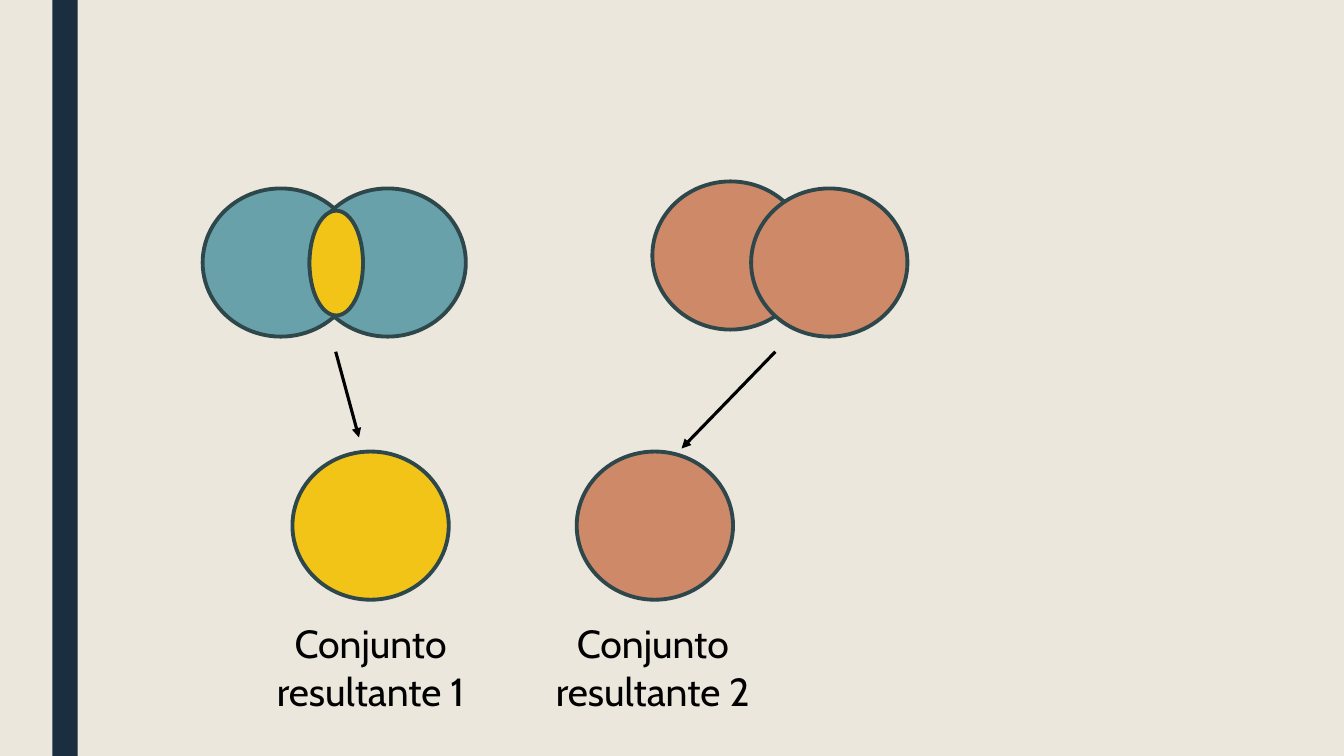
from dataclasses import dataclass

from lxml.etree import SubElement
from pptx import Presentation
from pptx.dml.color import RGBColor
from pptx.enum.shapes import MSO_CONNECTOR, MSO_SHAPE
from pptx.enum.text import MSO_AUTO_SIZE, PP_ALIGN
from pptx.oxml.ns import qn
from pptx.slide import Slide
from pptx.util import Inches, Pt

SLIDE_WIDTH, SLIDE_HEIGHT = Inches(13.33), Inches(7.5)


@dataclass(frozen=True)
class Theme:
    background: str = "EBE7DD"
    band: str = "1A2E40"
    outline: str = "2E474B"
    ink: str = "000000"
    teal: str = "69A1AB"
    yellow: str = "F2C418"
    copper: str = "CE8969"
    font: str = "Cabin"
    label_size: float = 28
    outline_width: float = 2.75
    arrow_width: float = 2.25


THEME = Theme()

# Lengths are percentages of the slide's width and height
CIRCLE_WIDTH, CIRCLE_HEIGHT = 11.63, 19.6
SOURCE_ROW, ARROW_ROW, RESULT_ROW, LABEL_ROW = 24.93, 46.53, 59.73, 81.33


@dataclass(frozen=True)
class Oval:
    left: float
    top: float
    fill: str
    width: float = CIRCLE_WIDTH
    height: float = CIRCLE_HEIGHT


@dataclass(frozen=True)
class Arrow:
    start_x: float
    end_x: float
    end_y: float


@dataclass(frozen=True)
class Label:
    left: float
    text: str


OVALS = [
    # Intersection of two sets
    Oval(15.08, SOURCE_ROW, THEME.teal),
    Oval(23.03, SOURCE_ROW, THEME.teal),
    Oval(23.03, 27.87, THEME.yellow, width=3.98, height=13.87),
    # Union of two sets
    Oval(48.54, 24, THEME.copper),
    Oval(55.89, SOURCE_ROW, THEME.copper),
    # Resulting sets
    Oval(42.91, RESULT_ROW, THEME.copper),
    Oval(21.76, RESULT_ROW, THEME.yellow),
]
ARROWS = [Arrow(24.98, 26.71, 57.87), Arrow(57.69, 50.71, 59.33)]
LABELS = [Label(17.63, "Conjunto resultante 1"), Label(38.63, "Conjunto resultante 2")]


def across(percent: float) -> int:
    return round(SLIDE_WIDTH * percent / 100)


def down(percent: float) -> int:
    return round(SLIDE_HEIGHT * percent / 100)


def color(value: str) -> RGBColor:
    return RGBColor.from_string(value)


def add_filled_shape(slide: Slide, kind: MSO_SHAPE, box: Oval, outlined: bool = True) -> None:
    shape = slide.shapes.add_shape(
        kind, across(box.left), down(box.top), across(box.width), down(box.height)
    )
    shape.shadow.inherit = False
    shape.fill.solid()
    shape.fill.fore_color.rgb = color(box.fill)
    if outlined:
        shape.line.color.rgb = color(THEME.outline)
        shape.line.width = Pt(THEME.outline_width)
    else:
        shape.line.fill.background()


def add_arrow(slide: Slide, arrow: Arrow) -> None:
    connector = slide.shapes.add_connector(
        MSO_CONNECTOR.STRAIGHT,
        across(arrow.start_x), down(ARROW_ROW), across(arrow.end_x), down(arrow.end_y),
    )
    connector.line.color.rgb = color(THEME.ink)
    connector.line.width = Pt(THEME.arrow_width)
    SubElement(connector.line._get_or_add_ln(), qn("a:tailEnd"), type="triangle")
    SubElement(connector._element.spPr, qn("a:effectLst"))


def add_text(slide: Slide, text: str, *, left: float, top: float, width: float, height: float,
             size: float, ink: str, alignment: PP_ALIGN) -> None:
    box = slide.shapes.add_textbox(across(left), down(top), across(width), down(height))
    box.text_frame.word_wrap = True
    box.text_frame.auto_size = MSO_AUTO_SIZE.SHAPE_TO_FIT_TEXT
    paragraph = box.text_frame.paragraphs[0]
    paragraph.alignment = alignment
    run = paragraph.add_run()
    run.text = text
    run.font.name = THEME.font
    run.font.size = Pt(size)
    run.font.color.rgb = color(ink)


def main() -> None:
    presentation = Presentation()
    presentation.slide_width, presentation.slide_height = SLIDE_WIDTH, SLIDE_HEIGHT
    slide = presentation.slides.add_slide(presentation.slide_layouts[6])

    # Background and side band
    slide.background.fill.solid()
    slide.background.fill.fore_color.rgb = color(THEME.background)
    band = Oval(3.9, 0, THEME.band, width=1.88, height=100)
    add_filled_shape(slide, MSO_SHAPE.RECTANGLE, band, outlined=False)

    # Sets, arrows to the results, and result labels
    for oval in OVALS:
        add_filled_shape(slide, MSO_SHAPE.OVAL, oval)
    for arrow in ARROWS:
        add_arrow(slide, arrow)
    for label in LABELS:
        add_text(slide, label.text, left=label.left, top=LABEL_ROW, width=19.88, height=13.87,
                 size=THEME.label_size, ink=THEME.ink, alignment=PP_ALIGN.CENTER)

    presentation.save("out.pptx")


if __name__ == "__main__":
    main()
